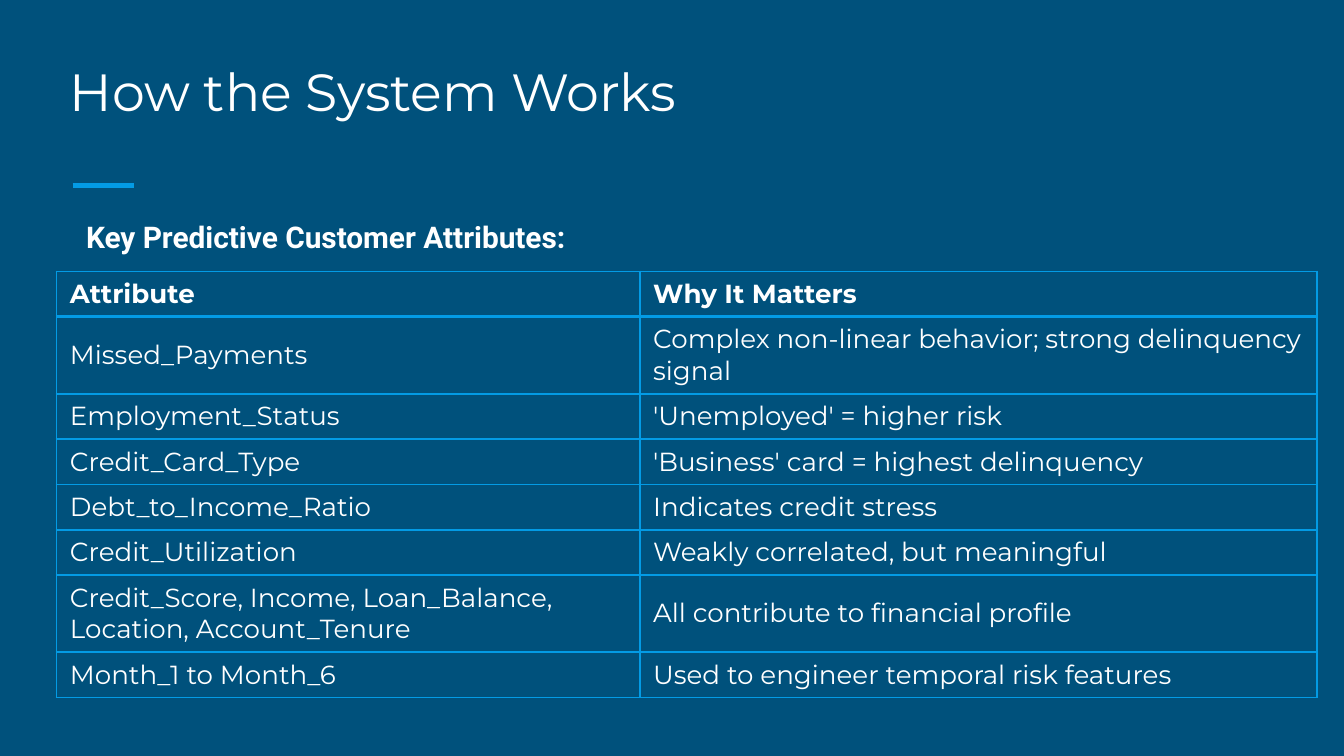
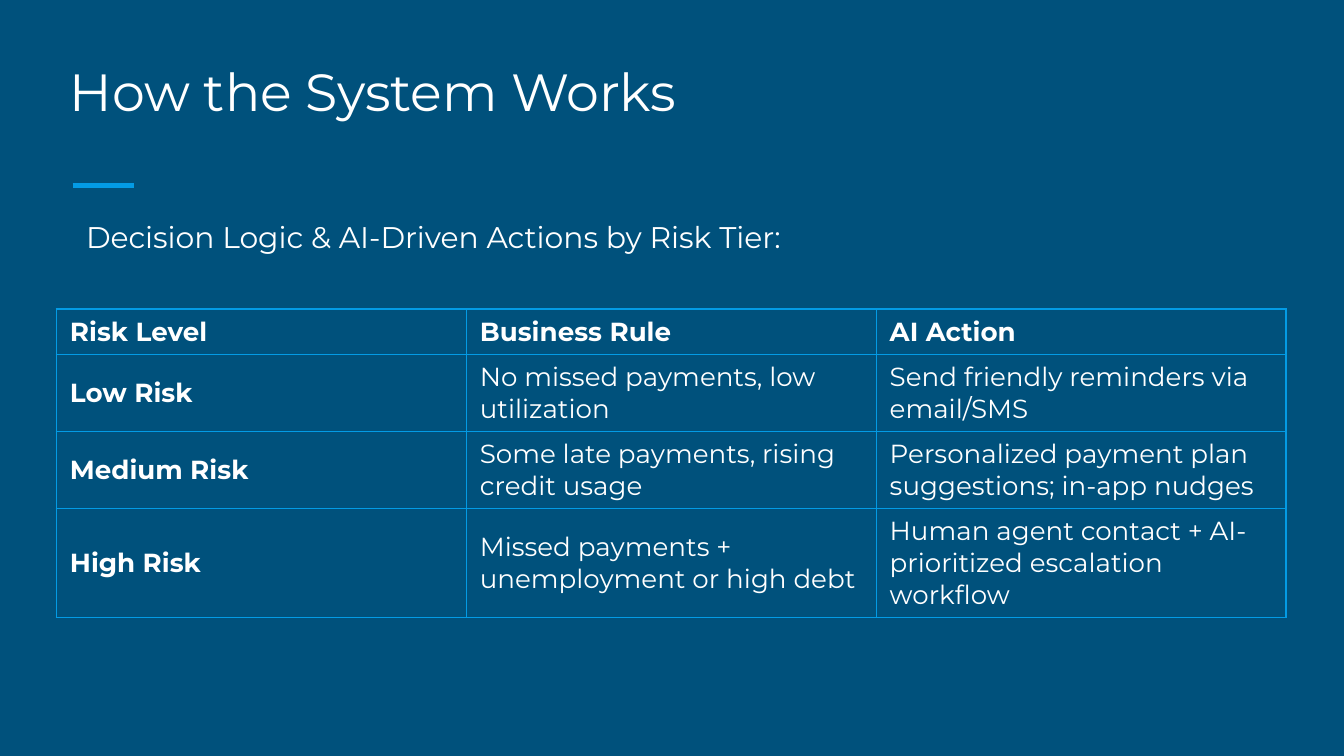
"""Build two slides on how a delinquency prediction system works."""
from lxml import etree
from pptx import Presentation
from pptx import util as u
from pptx.dml.color import RGBColor
from pptx.enum import shapes, text
from pptx.oxml.ns import qn

NAVY = RGBColor(0x00, 0x51, 0x7C)
SKY = RGBColor(0x03, 0x9B, 0xE5)
WHITE = RGBColor(0xFF, 0xFF, 0xFF)
HEADING_FONT = "Montserrat"
CELL = u.Inches(0.1)
COLUMNS, ROWS = 100, 56.25
LEFT, WIDTH = 4.2, 91.5
CELL_PADDING, LINE_HEIGHT = 1, 2.3


def grid(*counts):
    return [u.Emu(round(count * CELL)) for count in counts]


class Deck:
    """Hold the shared style and the slide being filled."""

    def __init__(self):
        self.presentation = Presentation()
        size = grid(COLUMNS, ROWS)
        self.presentation.slide_width, self.presentation.slide_height = size
        background = self.presentation.slide_master.background.fill
        background.solid()
        background.fore_color.rgb = NAVY
        self.slide = None

    def style(self, paragraph, size, name=HEADING_FONT, bold=False):
        font = paragraph.font
        font.size, font.name, font.bold = u.Pt(size), name, bold
        font.color.rgb = WHITE

    def add_slide(self, title):
        layout = self.presentation.slide_layouts[1]
        self.slide = self.presentation.slides.add_slide(layout)
        self.accent_line()
        paragraph = self.fill_placeholder(
            self.slide.shapes.title, title, 2.4, 7.7, text.MSO_ANCHOR.BOTTOM)
        paragraph.alignment = text.PP_ALIGN.LEFT
        self.style(paragraph, 28)

    def accent_line(self):
        line = self.slide.shapes.add_connector(
            shapes.MSO_CONNECTOR.STRAIGHT, *grid(5.4, 13.8, 10, 13.8))
        line.line.color.rgb = SKY
        line.line.width = u.Pt(3)
        properties = line._element.find(qn("p:spPr"))
        etree.SubElement(properties, qn("a:effectLst"))

    def fill_placeholder(self, shape, wording, top, height, anchor):
        shape.left, shape.top, shape.width, shape.height = grid(
            LEFT, top, WIDTH, height)
        frame = shape.text_frame
        frame.text = wording
        frame.word_wrap = True
        frame.auto_size = text.MSO_AUTO_SIZE.NONE
        frame.vertical_anchor = anchor
        frame.margin_left = frame.margin_right = CELL
        frame.margin_top = frame.margin_bottom = CELL
        return frame.paragraphs[0]

    def subtitle(self, wording, name=HEADING_FONT, bold=False,
                 alignment=text.PP_ALIGN.LEFT):
        paragraph = self.fill_placeholder(
            self.slide.placeholders[1], wording, 14.9, 5.3, text.MSO_ANCHOR.TOP)
        properties = paragraph._p.get_or_add_pPr()
        properties.set("marL", str(u.Inches(0.12)))
        properties.set("indent", "0")
        etree.SubElement(properties, qn("a:buNone"))
        paragraph.alignment = alignment
        paragraph.line_spacing = 1.15
        paragraph.space_before = u.Pt(0)
        self.style(paragraph, 16, name, bold)

    def border(self, cell, widths):
        properties = cell._tc.get_or_add_tcPr()
        for position, (side, width) in enumerate(zip("LRTB", widths)):
            line = etree.Element(qn(f"a:ln{side}"), w=str(u.Pt(width)))
            fill = etree.SubElement(line, qn("a:solidFill"))
            etree.SubElement(fill, qn("a:srgbClr"), val=str(SKY))
            properties.insert(position, line)

    def table(self, top, widths, line_counts, rows, header_rule=1,
              bold_first_column=False):
        heights = [CELL_PADDING + LINE_HEIGHT * count for count in line_counts]
        frame = self.slide.shapes.add_table(
            len(rows), len(widths), *grid(LEFT, top, sum(widths), sum(heights)))
        table = frame.table
        table.horz_banding = False
        for column, width in zip(table.columns, grid(*widths)):
            column.width = width
        for row, height in zip(table.rows, grid(*heights)):
            row.height = height
        for row_number, row in enumerate(rows):
            above = header_rule if row_number == 1 else 1
            below = header_rule if row_number == 0 else 1
            for column_number, wording in enumerate(row):
                cell = table.cell(row_number, column_number)
                cell.text = wording
                cell.vertical_anchor = text.MSO_ANCHOR.MIDDLE
                cell.fill.background()
                self.border(cell, (1, 1, above, below))
                bold = row_number == 0 or (
                    bold_first_column and column_number == 0)
                self.style(cell.text_frame.paragraphs[0], 14, bold=bold)


def main():
    deck = Deck()

    deck.add_slide("How the System Works")
    deck.subtitle("Key Predictive Customer Attributes:", "Roboto", bold=True)
    deck.table(20.2, (43.4, 50.4), (1, 2, 1, 1, 1, 1, 2, 1), [
        ("Attribute", "Why It Matters"),
        ("Missed_Payments",
         "Complex non-linear behavior; strong delinquency signal"),
        ("Employment_Status", "'Unemployed' = higher risk"),
        ("Credit_Card_Type", "'Business' card = highest delinquency"),
        ("Debt_to_Income_Ratio", "Indicates credit stress"),
        ("Credit_Utilization", "Weakly correlated, but meaningful"),
        ("Credit_Score, Income, Loan_Balance, Location, Account_Tenure",
         "All contribute to financial profile"),
        ("Month_1 to Month_6", "Used to engineer temporal risk features"),
    ], header_rule=2)

    deck.add_slide("How the System Works")
    deck.subtitle("Decision Logic & AI-Driven Actions by Risk Tier:",
                  alignment=text.PP_ALIGN.JUSTIFY)
    deck.table(23, (WIDTH / 3,) * 3, (1, 2, 2, 3), [
        ("Risk Level", "Business Rule", "AI Action"),
        ("Low Risk", "No missed payments, low utilization",
         "Send friendly reminders via email/SMS"),
        ("Medium Risk", "Some late payments, rising credit usage",
         "Personalized payment plan suggestions; in-app nudges"),
        ("High Risk", "Missed payments + unemployment or high debt",
         "Human agent contact + AI-prioritized escalation workflow"),
    ], bold_first_column=True)

    deck.presentation.save("out.pptx")


if __name__ == "__main__":
    main()
